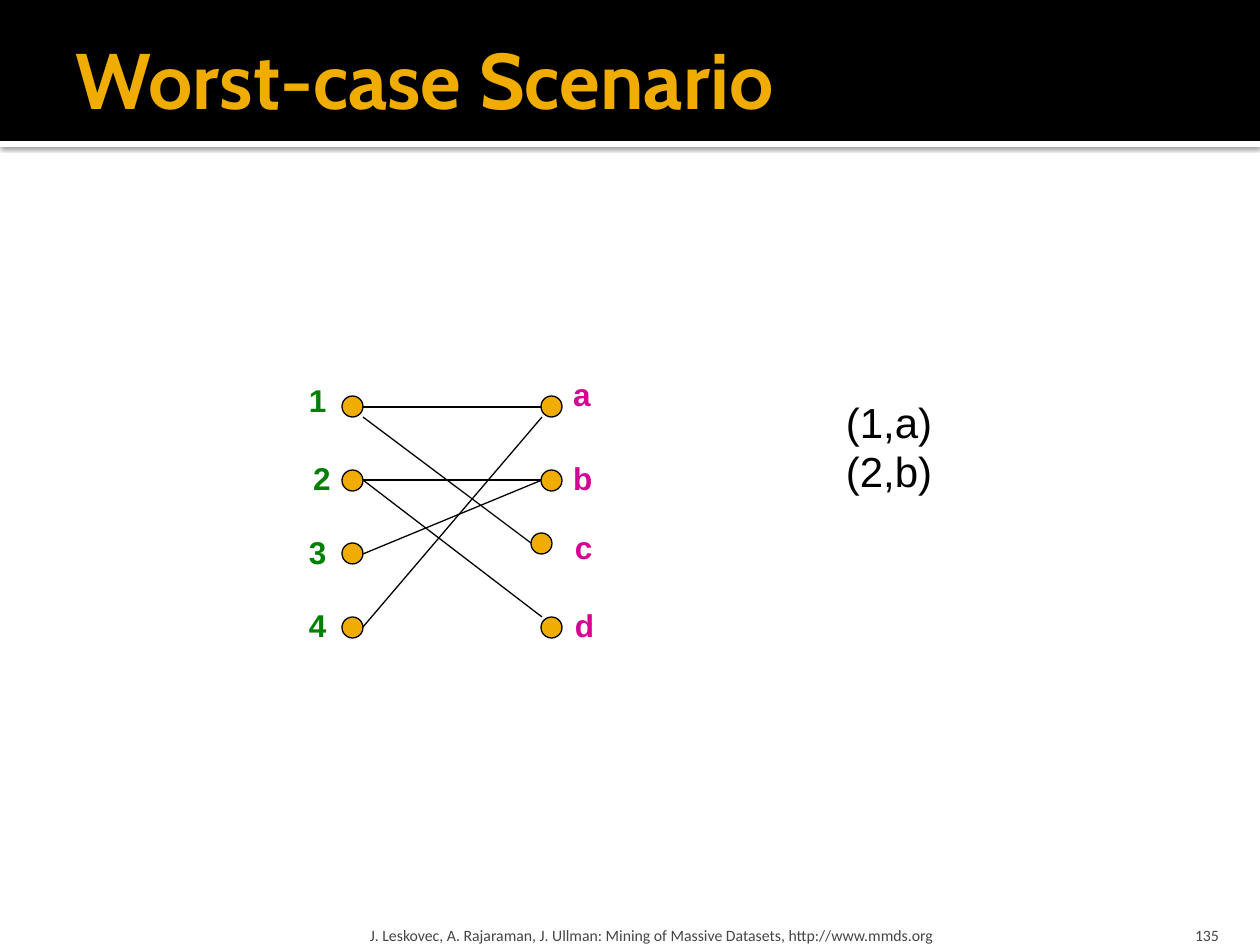
import lxml.etree
import pptx
import pptx.dml.color
import pptx.enum.shapes
import pptx.enum.text
import pptx.oxml
import pptx.oxml.ns
import pptx.util

PX = 914400 / 126
COLORS = {"black": "000000", "white": "FFFFFF", "gold": "F0AD00",
          "green": "008000", "magenta": "D60093", "grey": "454545"}
SHAPE = pptx.enum.shapes.MSO_SHAPE
ANCHOR = pptx.enum.text.MSO_ANCHOR
ALIGN = pptx.enum.text.PP_ALIGN
AUTO = pptx.enum.text.MSO_AUTO_SIZE

prs = pptx.Presentation()
prs.slide_width = pptx.util.Inches(10)
prs.slide_height = pptx.util.Inches(7.5)
s = prs.slides.add_slide(prs.slide_layouts[6])


def add_text(text, box, size, color, font="Arial", bold=False, align=ALIGN.LEFT,
             anchor=ANCHOR.TOP, insets=(13, 6, 13, 6), wrap=False):
    sp = s.shapes.add_textbox(*[round(v * PX) for v in box])
    tf = sp.text_frame
    tf.word_wrap = wrap
    tf.auto_size = AUTO.NONE if wrap else AUTO.SHAPE_TO_FIT_TEXT
    tf.vertical_anchor = anchor
    tf.margin_left, tf.margin_top, tf.margin_right, tf.margin_bottom = [
        round(v * PX) for v in insets]
    p = tf.paragraphs[0]
    p.alignment = align
    r = p.add_run()
    r.text = text
    r.font.name = font
    r.font.size = pptx.util.Pt(size)
    r.font.bold = bold
    r.font.color.rgb = pptx.dml.color.RGBColor.from_string(COLORS[color])


def add_shape(kind, box, fill, line=None):
    sp = s.shapes.add_shape(kind, *[round(v * PX) for v in box])
    sp.shadow.inherit = False
    sp.fill.solid()
    sp.fill.fore_color.rgb = pptx.dml.color.RGBColor.from_string(COLORS[fill])
    if line:
        sp.line.color.rgb = pptx.dml.color.RGBColor.from_string(COLORS[line])
        sp.line.width = pptx.util.Pt(0.75)
    else:
        sp.line.fill.background()
    return sp


# Header band with a shadowed white strip beneath it
strip = add_shape(SHAPE.RECTANGLE, (0, 141, 1260, 6), "white")
effects = strip._element.spPr.find(pptx.oxml.ns.qn("a:effectLst"))
effects.append(pptx.oxml.parse_xml(
    f'<a:outerShdw {pptx.oxml.ns.nsdecls("a")} blurRad="31750" dist="10160" '
    'dir="5400000" algn="tl" rotWithShape="0"><a:srgbClr val="000000">'
    '<a:alpha val="60000"/></a:srgbClr></a:outerShdw>'))
add_shape(SHAPE.RECTANGLE, (0, 0, 1260, 141), "black")
add_text("Worst-case Scenario", (63, 10, 1134, 136), 45, "gold", font="Cabin",
         bold=True, anchor=ANCHOR.MIDDLE, insets=(13, 6, 6, 6), wrap=True)

# Edges of the bipartite graph
edges = [
    (363, 407, 542, 407),  # 1-a
    (363, 417, 531, 543),  # 1-c
    (363, 480, 542, 480),  # 2-b
    (363, 480, 542, 617),  # 2-d
    (363, 554, 542, 480),  # 3-b
    (363, 627, 542, 417),  # 4-a
]
for edge in edges:
    c = s.shapes.add_connector(pptx.enum.shapes.MSO_CONNECTOR.STRAIGHT,
                               *[round(v * PX) for v in edge])
    c.line.color.rgb = pptx.dml.color.RGBColor.from_string(COLORS["black"])
    c.line.width = pptx.util.Pt(0.75)
    lxml.etree.SubElement(c._element.spPr, pptx.oxml.ns.qn("a:effectLst"))

# Nodes: label, circle left and top, label left and top, label colour
NODE = 21
nodes = [
    ("1", 342, 396, 296, 375, "green"),
    ("2", 342, 470, 300, 453, "green"),
    ("3", 342, 543, 296, 527, "green"),
    ("4", 342, 617, 296, 600, "green"),
    ("a", 541, 396, 560, 369, "magenta"),
    ("b", 541, 470, 560, 453, "magenta"),
    ("c", 531, 533, 562, 522, "magenta"),
    ("d", 541, 617, 562, 600, "magenta"),
]
for label, x, y, label_x, label_y, color in nodes:
    add_shape(SHAPE.OVAL, (x, y, NODE, NODE), "gold", line="black")
    add_text(label, (label_x, label_y, 46, 50), 18, color, bold=True)

# Matched pairs, in boxes wide enough for one line each
for i, pair in enumerate(["(1,a)", "(2,b)"]):
    add_text(pair, (833, 391 + 49 * i, 126, 63), 24, "black")

# Footer and slide number
add_text("J. Leskovec, A. Rajaraman, J. Ullman: Mining of Massive Datasets, http://www.mmds.org",
         (364, 907, 759, 38), 9, "grey", font="Calibri", anchor=ANCHOR.BOTTOM,
         insets=(6, 6, 6, 0), wrap=True)
add_text("135", (1131, 907, 101, 38), 9, "grey", font="Calibri", align=ALIGN.RIGHT,
         anchor=ANCHOR.BOTTOM, insets=(13, 6, 13, 0), wrap=True)

prs.save("out.pptx")
